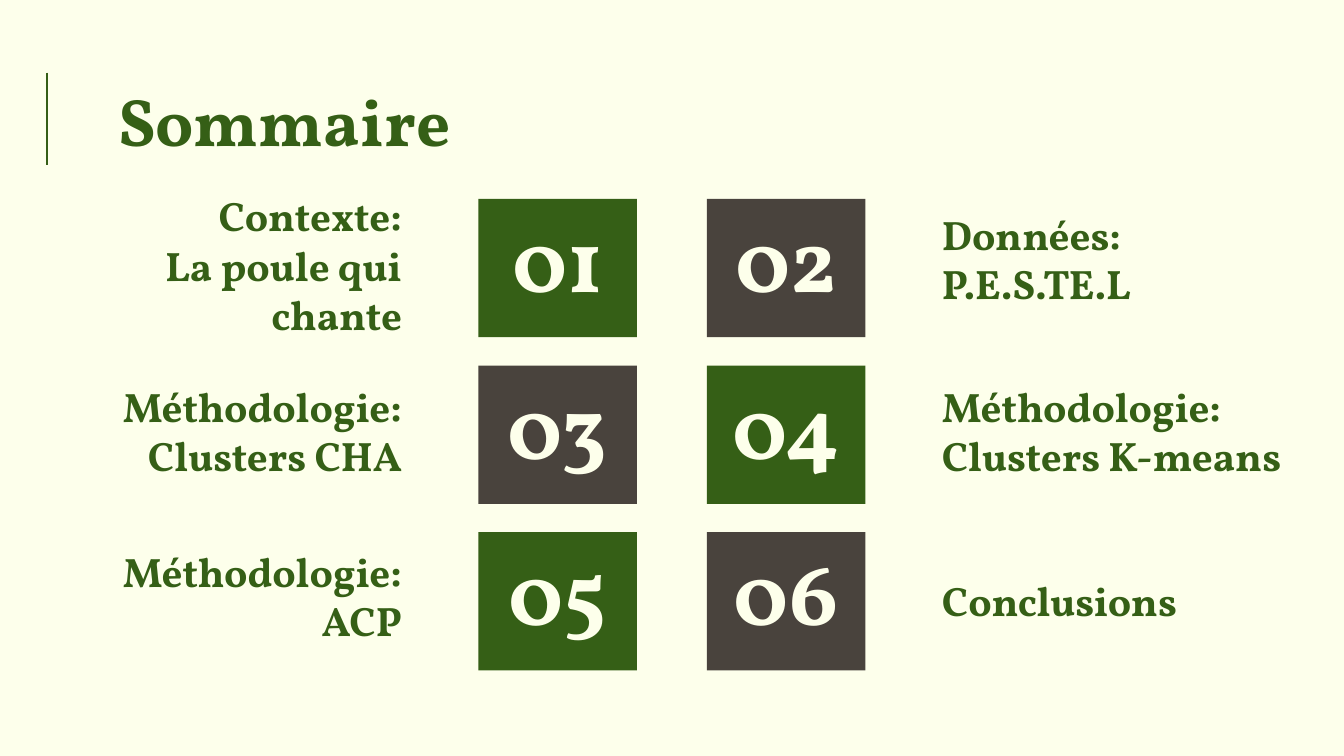
"""Build the "Sommaire" agenda slide with six numbered topics."""
from lxml import etree
from pptx import Presentation
from pptx import util as u
from pptx.dml.color import RGBColor
from pptx.enum import shapes, text

GREEN, BROWN, CREAM = "355F16", "49433D", "FDFFEB"
LEFT, CENTER, RIGHT = text.PP_ALIGN.LEFT, text.PP_ALIGN.CENTER, text.PP_ALIGN.RIGHT
TOP, BOTTOM = text.MSO_ANCHOR.TOP, text.MSO_ANCHOR.BOTTOM


def rgb(value):
    return RGBColor.from_string(value)


def write(sp, lines, size, color, align, anchor, bottom=0.1):
    tf = sp.text_frame
    tf.word_wrap = True
    tf.auto_size = text.MSO_AUTO_SIZE.NONE
    tf.vertical_anchor = anchor
    tf.margin_left = tf.margin_right = tf.margin_top = u.Inches(0.1)
    tf.margin_bottom = u.Inches(bottom)
    for i, line in enumerate(lines):
        p = tf.add_paragraph() if i else tf.paragraphs[0]
        p.alignment = align
        r = p.add_run()
        r.text = line
        r.font.name = "Vollkorn"
        r.font.size = u.Pt(size)
        r.font.bold = True
        r.font.color.rgb = rgb(color)


prs = Presentation()
prs.slide_width = u.Inches(10)
prs.slide_height = u.Inches(10 * 9 / 16)
s = prs.slides.add_slide(prs.slide_layouts[5])
s.background.fill.solid()
s.background.fill.fore_color.rgb = rgb(CREAM)

title = s.shapes.title
title.left, title.top = u.Inches(0.78), u.Inches(0.49)
title.width, title.height = u.Inches(8.45), u.Inches(0.63)
write(title, ["Sommaire"], 36, GREEN, LEFT, TOP)

topics = [
    (["Contexte:", "La poule qui chante"], 2.18, 2.31),
    (["Données:", "P.E.S.TE.L"], 1.95, 2.31),
    (["Méthodologie: Clusters CHA"], 3.23, 2.31),
    (["Méthodologie: Clusters K-means"], 3.23, 2.83),
    (["Méthodologie: ACP"], 4.46, 2.31),
    (["Conclusions"], 4.31, 2.31),
]
for i, (lines, top, width) in enumerate(topics):
    row, col = divmod(i, 2)
    box = s.shapes.add_shape(
        shapes.MSO_SHAPE.RECTANGLE, u.Inches(3.56 + 1.7 * col),
        u.Inches(1.48 + 1.24 * row), u.Inches(1.18), u.Inches(1.03))
    box.shadow.inherit = False
    box.fill.solid()
    box.fill.fore_color.rgb = rgb(BROWN if (row + col) % 2 else GREEN)
    box.line.fill.background()
    write(box, [f"{i + 1:02d}"], 48, CREAM, CENTER, BOTTOM, 0.2)

    label = s.shapes.add_textbox(
        u.Inches(6.91 if col else 0.78), u.Inches(top), u.Inches(width), u.Inches(0.44))
    write(label, lines, 22, GREEN, LEFT if col else RIGHT, BOTTOM)

rule = s.shapes.add_connector(
    shapes.MSO_CONNECTOR.STRAIGHT, u.Inches(0.35), u.Inches(0.54), u.Inches(0.35), u.Inches(1.23))
rule.line.color.rgb = rgb(GREEN)
rule.line.width = u.Pt(0.75)
etree.SubElement(
    rule.element.spPr, "{http://schemas.openxmlformats.org/drawingml/2006/main}effectLst")

prs.save("out.pptx")
